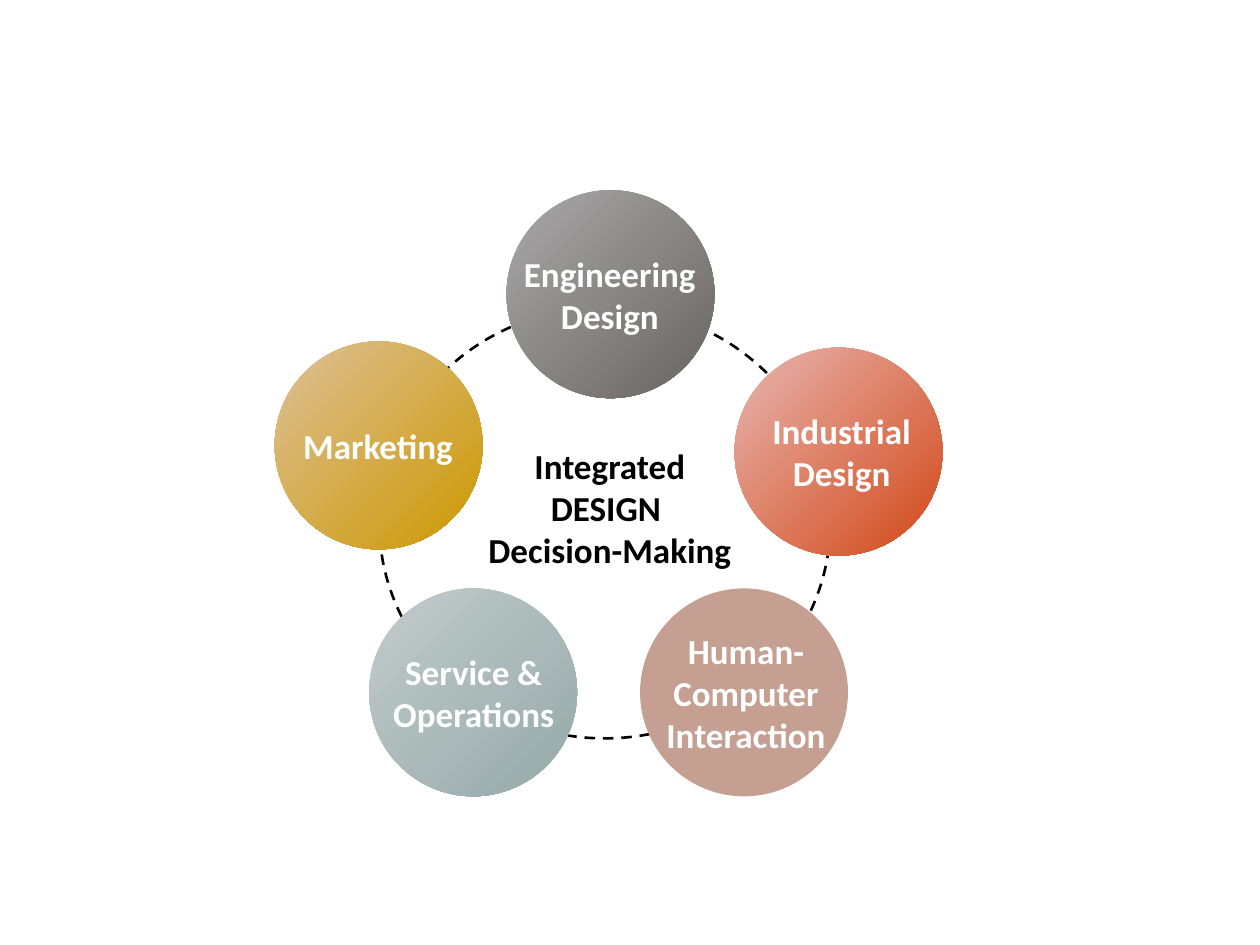
"""Build a slide with five disciplines on a ring around integrated design."""
from pptx import Presentation
from pptx.dml.color import RGBColor
from pptx.enum.dml import MSO_LINE
from pptx.enum.shapes import MSO_SHAPE
from pptx.enum.text import MSO_AUTO_SIZE, PP_ALIGN
from pptx.util import Inches, Pt

OVAL = MSO_SHAPE.OVAL
DASH = MSO_LINE.DASH
GROW = MSO_AUTO_SIZE.SHAPE_TO_FIT_TEXT
CENTER = PP_ALIGN.CENTER
DIAMETER = 1.65


def rgb(color):
    return RGBColor.from_string(color)


def add_label(lines, center_x, center_y, width, color="FFFFFF", size=20, font="Calibri"):
    height = 0.1 + len(lines) * size / 60
    label = slide.shapes.add_textbox(
        Inches(center_x - width / 2), Inches(center_y - height / 2),
        Inches(width), Inches(height))
    frame = label.text_frame
    frame.word_wrap = False
    frame.auto_size = GROW
    frame.text = "\n".join(lines)
    for paragraph in frame.paragraphs:
        paragraph.alignment = CENTER
        for run in paragraph.runs:
            run.font.name = font
            run.font.size = Pt(size)
            run.font.bold = True
            run.font.color.rgb = rgb(color)


prs = Presentation()
prs.slide_width, prs.slide_height = Inches(10), Inches(7.5)
slide = prs.slides.add_slide(prs.slide_layouts[6])

ring = slide.shapes.add_shape(OVAL, Inches(3.01), Inches(2.44), Inches(3.58), Inches(3.42))
ring.shadow.inherit = False
ring.fill.background()
ring.line.color.rgb = rgb("000000")
ring.line.width = Pt(1.5)
ring.line.dash_style = DASH

disciplines = [
    (["Industrial", "Design"], 5.83, 2.76, 6.68, 1.31, ["E7B6B1", "D34817"]),
    (["Service &", "Operations"], 2.93, 4.67, 3.76, 1.5, ["C2CBCB", "96A9A9"]),
    (["Marketing"], 2.18, 2.71, 3, 1.41, ["DDC098", "CC9900"]),
    (["Engineering", "Design"], 4.02, 1.51, 4.84, 1.58, ["AAA8A8", "696464"]),
    (["Human-", "Computer", "Interaction"], 5.08, 4.67, 5.92, 1.49, ["C49F92"]),
]
for lines, left, top, label_x, label_width, colors in disciplines:
    circle = slide.shapes.add_shape(
        OVAL, Inches(left), Inches(top), Inches(DIAMETER), Inches(DIAMETER))
    circle.shadow.inherit = False
    circle.line.fill.background()
    if len(colors) == 1:
        circle.fill.solid()
        circle.fill.fore_color.rgb = rgb(colors[0])
    else:
        circle.fill.gradient()
        circle.fill.gradient_angle = 315
        for stop, color in zip(circle.fill.gradient_stops, colors):
            stop.color.rgb = rgb(color)
    add_label(lines, label_x, top + DIAMETER / 2, label_width)

add_label(["Integrated", "DESIGN ", "Decision-Making"], 4.84, 4.03, 2.15, color="000000")

prs.save("out.pptx")
